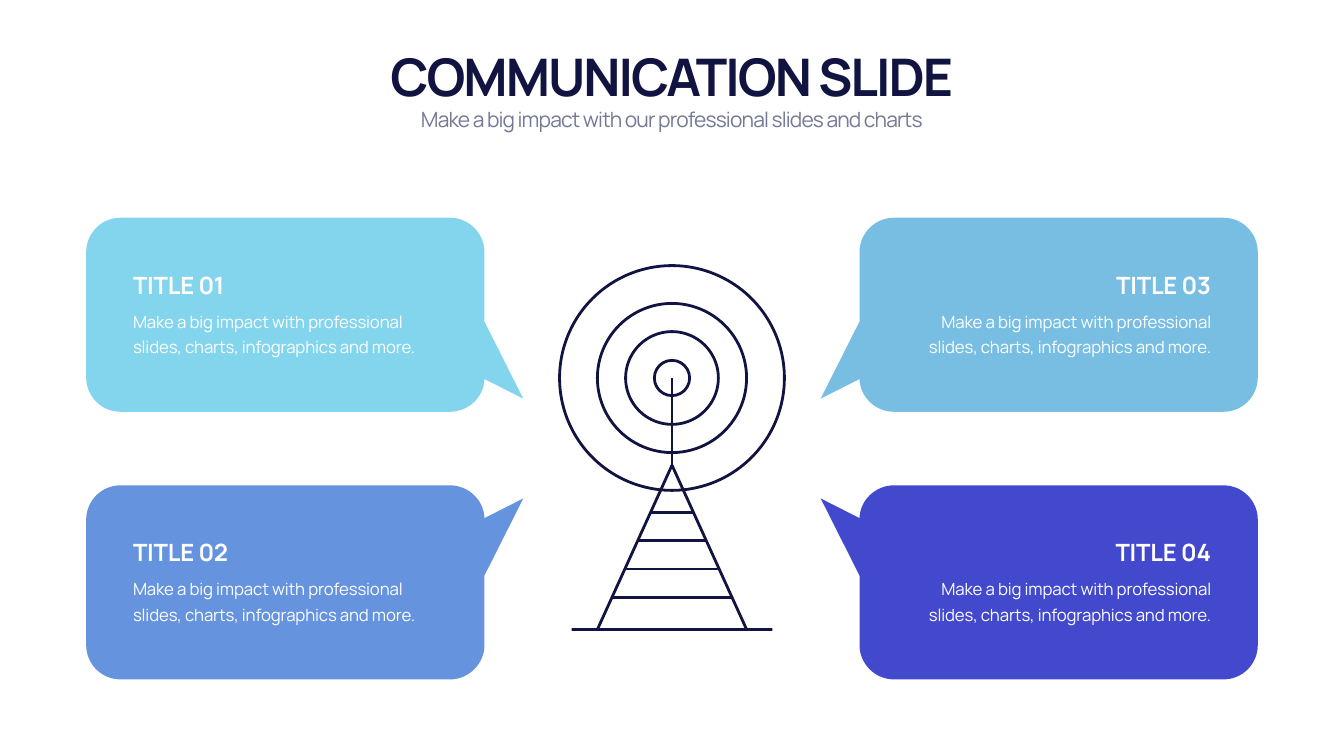
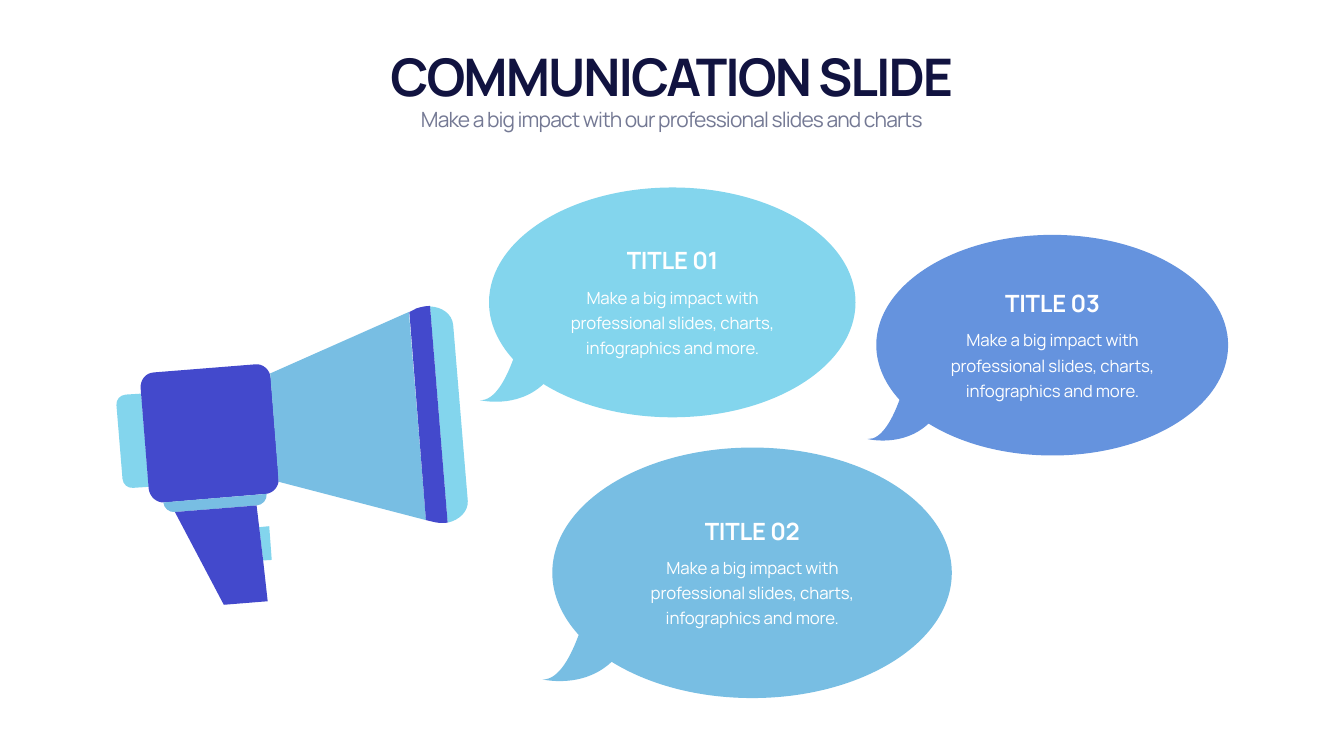
from pptx import Presentation
from pptx.dml.color import RGBColor
from pptx.enum.shapes import MSO_CONNECTOR, MSO_SHAPE
from pptx.enum.text import MSO_ANCHOR, MSO_AUTO_SIZE, PP_ALIGN
from pptx.oxml.ns import qn
from pptx.oxml.xmlchemy import OxmlElement
from pptx.util import Inches, Pt

COLORS = {
    "navy": "111340",
    "gray": "747994",
    "white": "FFFFFF",
    "aqua": "83D5ED",
    "sky": "78BEE3",
    "blue": "6593DE",
    "indigo": "4349CC",
}
FONT = "Manrope"
WIDTH, HEIGHT = 26.66, 15
CENTER = WIDTH / 2
HEADING = "COMMUNICATION SLIDE"
SUBHEADING = "Make a big impact with our professional slides and charts"
PITCH = "Make a big impact with professional slides, charts, infographics and more."

# Outlines: a pair is a corner, six numbers are a Bezier curve.
CARD = [
    (2.39, 4.32), (8.93, 4.32), (9.3, 4.32, 9.61, 4.63, 9.61, 5),
    (9.61, 6.38), (10.38, 7.91), (9.61, 7.52),
    (9.6, 7.88, 9.29, 8.17, 8.93, 8.17), (2.39, 8.17),
    (2.01, 8.17, 1.71, 7.86, 1.71, 7.49), (1.71, 5),
    (1.71, 4.63, 2.01, 4.32, 2.39, 4.32),
]
BUBBLE = [
    (3.82, 0), (1.81, 0, 0.18, 1.02, 0.18, 2.28),
    (0.18, 2.69, 0.36, 3.08, 0.66, 3.41), (0.54, 3.74, 0.31, 4.24, 0, 4.22),
    (0, 4.22, 0.73, 4.4, 1.26, 3.9), (1.92, 4.31, 2.82, 4.56, 3.82, 4.56),
    (5.82, 4.56, 7.45, 3.54, 7.45, 2.28), (7.45, 1.02, 5.82, 0, 3.82, 0),
]
MEGAPHONE = {
    "back": ("aqua", [
        (2.49, 7.83), (2.38, 7.84, 2.3, 7.93, 2.31, 8.04), (2.43, 9.5),
        (2.44, 9.61, 2.53, 9.69, 2.64, 9.68), (2.95, 9.66), (2.8, 7.81)]),
    "body": ("indigo", [
        (5.06, 7.23), (3.05, 7.39), (2.89, 7.4, 2.78, 7.54, 2.79, 7.7),
        (2.95, 9.7), (2.97, 9.86, 3.11, 9.98, 3.26, 9.97), (5.27, 9.8),
        (5.42, 9.79, 5.54, 9.65, 5.53, 9.49), (5.37, 7.49),
        (5.35, 7.33, 5.21, 7.21, 5.06, 7.23)]),
    "horn": ("sky", [
        (5.36, 7.41), (5.53, 9.56), (8.45, 10.32), (8.11, 6.19)]),
    "rim": ("aqua", [
        (8.53, 6.08), (8.88, 10.37), (9.11, 10.32, 9.29, 10.15, 9.28, 9.94),
        (8.99, 6.45), (8.97, 6.23, 8.77, 6.09, 8.53, 6.08)]),
    "band": ("indigo", [
        (8.26, 6.12), (8.12, 6.19), (8.45, 10.32), (8.62, 10.36),
        (8.71, 10.38, 8.8, 10.38, 8.88, 10.37), (8.53, 6.07),
        (8.44, 6.07, 8.35, 6.09, 8.26, 6.12)]),
    "collar": ("sky", [
        (3.47, 10.16), (5.09, 10.03), (5.21, 10.02, 5.3, 9.92, 5.29, 9.8),
        (3.24, 9.97), (3.25, 10.08, 3.35, 10.17, 3.47, 10.16)]),
    "trigger": ("aqua", [
        (5.34, 10.44), (5.14, 10.46), (5.22, 11.12), (5.39, 11.11)]),
    "handle": ("indigo", [
        (5.22, 11.12), (5.09, 10.03), (3.47, 10.16), (4.44, 12), (5.31, 11.93)]),
}


def rgb(name):
    """Return the named palette colour."""
    return RGBColor.from_string(COLORS[name])


def transform(steps, sx=1, sy=1, dx=0, dy=0):
    """Scale, then move, every coordinate of an outline."""
    return [tuple(v * (sy if i % 2 else sx) + (dy if i % 2 else dx)
                  for i, v in enumerate(step)) for step in steps]


class Deck:
    """The shared style and the slide being drawn."""

    def __init__(self):
        """Start an empty presentation of the right size."""
        self.presentation = Presentation()
        self.presentation.slide_width = Inches(WIDTH)
        self.presentation.slide_height = Inches(HEIGHT)

    def new_slide(self):
        """Add a slide with the shared heading and subheading."""
        layout = self.presentation.slide_layouts[5]
        self.slide = self.presentation.slides.add_slide(layout)
        self.canvas = self.slide.shapes
        heading = self.slide.shapes.title
        heading.left, heading.top = Inches(1.66), Inches(0.82)
        heading.width, heading.height = Inches(23.33), Inches(1.35)
        self.set_text(heading, HEADING, 74, "navy", PP_ALIGN.CENTER,
                      bold=True, spacing=-2.9, anchor=MSO_ANCHOR.BOTTOM)
        self.text(1.66, 2.07, 23.33, 0.61, SUBHEADING, 30, "gray",
                  PP_ALIGN.CENTER, spacing=-1.2)

    def begin_group(self):
        """Send the next drawn elements to a new group."""
        self.canvas = self.slide.shapes.add_group_shape().shapes

    def end_group(self):
        """Send the next drawn elements to the slide again."""
        self.canvas = self.slide.shapes

    def set_text(self, shape, words, size, color, align, bold=False,
                 spacing=0, anchor=MSO_ANCHOR.TOP, leading=None):
        """Put one styled paragraph into a shape."""
        frame = shape.text_frame
        frame.text = words
        frame.word_wrap = True
        frame.auto_size = MSO_AUTO_SIZE.SHAPE_TO_FIT_TEXT
        frame.vertical_anchor = anchor
        paragraph = frame.paragraphs[0]
        paragraph.alignment = align
        if leading:
            paragraph.line_spacing = Pt(leading)
        font = paragraph.font
        font.name, font.size, font.bold = FONT, Pt(size), bold
        font.color.rgb = rgb(color)
        letters = paragraph._p.pPr.find(qn("a:defRPr"))
        letters.set("spc", str(round(spacing * 100)))

    def text(self, x, y, w, h, words, size, color, align, **style):
        """Add a text box."""
        box = self.canvas.add_textbox(Inches(x), Inches(y), Inches(w), Inches(h))
        self.set_text(box, words, size, color, align, **style)

    def message(self, x, y, w, body_height, title, align):
        """Add a white title with the pitch below it."""
        self.text(x, y, w, 0.67, title, 34, "white", align,
                  bold=True, spacing=-0.3, anchor=MSO_ANCHOR.BOTTOM)
        self.text(x, y + 0.72, w, body_height, PITCH, 24, "white", align,
                  spacing=-0.2, leading=36)

    def stroke(self, line):
        """Give a line the navy drawing stroke."""
        line.color.rgb = rgb("navy")
        line.width = Pt(4)

    def outline(self, steps, fill=None):
        """Draw a closed filled outline, or an unclosed stroked one."""
        points = [(Inches(step[i]), Inches(step[i + 1]))
                  for step in steps for i in range(0, len(step), 2)]
        builder = self.canvas.build_freeform(*points[0])
        builder.add_line_segments(points[1:], close=fill is not None)
        shape = builder.convert_to_shape()
        shape.shadow.inherit = False
        segments = iter(shape._element.findall(".//" + qn("a:lnTo")))
        for step in steps[1:]:
            segment = next(segments)
            if len(step) == 6:
                curve = OxmlElement("a:cubicBezTo")
                segment.addprevious(curve)
                for part in (segment, next(segments), next(segments)):
                    curve.append(part[0])
                    part.getparent().remove(part)
        if fill:
            shape.fill.solid()
            shape.fill.fore_color.rgb = rgb(fill)
            shape.line.fill.background()
        else:
            shape.fill.background()
            self.stroke(shape.line)

    def ring(self, x, y, diameter):
        """Draw an unfilled circle around a centre."""
        circle = self.canvas.add_shape(
            MSO_SHAPE.OVAL, Inches(x - diameter / 2), Inches(y - diameter / 2),
            Inches(diameter), Inches(diameter))
        circle.shadow.inherit = False
        circle.fill.background()
        self.stroke(circle.line)

    def line(self, x1, y1, x2, y2):
        """Draw a straight line."""
        connector = self.canvas.add_connector(
            MSO_CONNECTOR.STRAIGHT, Inches(x1), Inches(y1), Inches(x2), Inches(y2))
        self.stroke(connector.line)
        connector._element.spPr.append(OxmlElement("a:effectLst"))

    def tower(self):
        """Draw the transmitter: signal rings, mast, legs and rungs."""
        signal, apex, ground = 7.5, 9.23, 12.49
        self.begin_group()
        for diameter in (1.84, 0.7, 2.96, 4.46):
            self.ring(CENTER, signal, diameter)
        self.line(CENTER, signal, CENTER, apex)
        for side in (-1, 1):
            self.outline([(CENTER + side * 1.99, ground),
                          (CENTER + side * 1.48, ground), (CENTER, apex)])
        for rung in range(4):
            reach, y = 0.43 + 0.25 * rung, 10.17 + 0.56 * rung
            self.line(CENTER - reach, y, CENTER + reach, y)
        self.line(11.71, ground, 15.04, ground)
        self.end_group()

    def card(self, title, color, right, lower):
        """Draw a callout card, mirrored to its corner of the slide."""
        self.outline(transform(CARD, -1 if right else 1, -1 if lower else 1,
                               WIDTH if right else 0, 17.8 if lower else 0), color)
        self.message(17.81 if right else 2.54, 10.62 if lower else 5.31, 6.31, 1.09,
                     title, PP_ALIGN.RIGHT if right else PP_ALIGN.LEFT)

    def bubble(self, title, color, x, y, scale):
        """Draw an oval speech bubble with its message in the middle."""
        self.outline(transform(BUBBLE, scale, scale, x, y), color)
        self.message(x + 3.82 * scale - 2.41, y + 2.28 * scale - 1.17, 4.82, 1.59,
                     title, PP_ALIGN.CENTER)

    def megaphone(self):
        """Draw the megaphone part by part."""
        self.begin_group()
        for color, steps in MEGAPHONE.values():
            self.outline(steps, color)
        self.end_group()


deck = Deck()

deck.new_slide()
deck.tower()
for number, color in enumerate(("aqua", "blue", "sky", "indigo")):
    deck.card(f"TITLE 0{number + 1}", color, right=number >= 2, lower=number % 2)

deck.new_slide()
deck.megaphone()
deck.bubble("TITLE 01", "aqua", 9.52, 3.72, 1)
deck.bubble("TITLE 02", "sky", 10.76, 8.88, 1.09)
deck.bubble("TITLE 03", "blue", 17.21, 4.66, 0.96)

deck.presentation.save("out.pptx")
